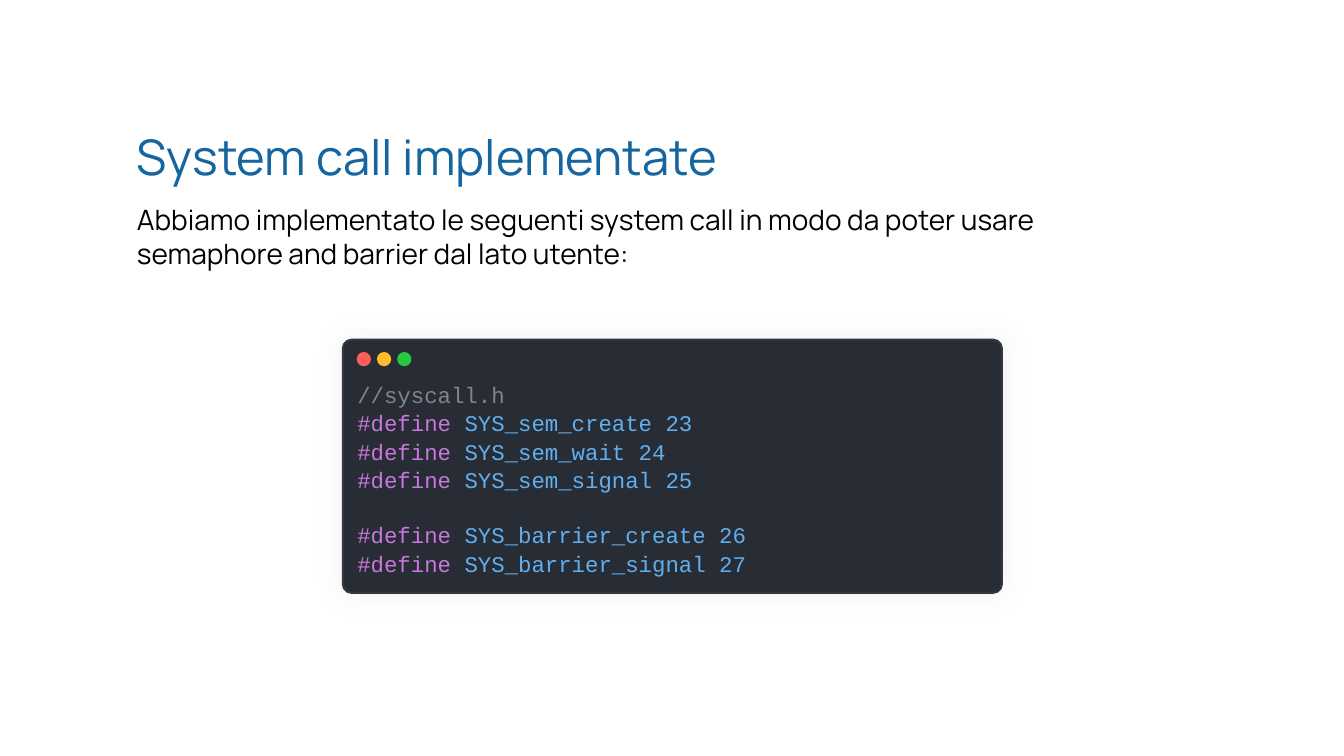
from lxml.etree import SubElement
from pptx import Presentation
from pptx.dml.color import RGBColor
from pptx.enum.shapes import MSO_SHAPE
from pptx.enum.text import MSO_ANCHOR, PP_ALIGN
from pptx.oxml.ns import qn
from pptx.util import Cm, Pt


def rgb(value):
    return RGBColor.from_string(value)


def add_run(p, text, size, font, color):
    r = p.add_run()
    r.text = text
    for name, value in {"size": Pt(size), "name": font}.items():
        setattr(r.font, name, value)
    r.font.color.rgb = rgb(color)


prs = Presentation()
prs.slide_width, prs.slide_height = Cm(33.87), Cm(19.05)
s = prs.slides.add_slide(prs.slide_layouts[6])

# Title and introduction
TEXTS = [
    ("System call implementate", 3.07, 17.27, 1.75, 35, "1566A0", False),
    ("Abbiamo implementato le seguenti system call in modo da poter usare "
     "semaphore and barrier dal lato utente:", 4.98, 26.39, 1.96, 20, "000000", True),
]
for text, top, width, height, size, color, wrap in TEXTS:
    tf = s.shapes.add_textbox(Cm(3.2), Cm(top), Cm(width), Cm(height)).text_frame
    tf.word_wrap = wrap
    add_run(tf.paragraphs[0], text, size, "Manrope", color)

# Code window
window = s.shapes.add_group_shape()
panel = window.shapes.add_shape(MSO_SHAPE.ROUNDED_RECTANGLE, Cm(8.64), Cm(8.56), Cm(16.61), Cm(6.38))
panel.adjustments[0] = 0.035
panel.fill.solid()
panel.fill.fore_color.rgb = rgb("282C34")
panel.line.color.rgb = rgb("323742")
panel.line.width = Pt(1.5)
panel.shadow.inherit = False
effects = panel.fill._xPr.find(qn("a:effectLst"))
glow = SubElement(effects, qn("a:outerShdw"), blurRad=str(Pt(20)), dist="0", dir="0", algn="ctr", rotWithShape="0")
glow_color = SubElement(glow, qn("a:srgbClr"), val="808080")
SubElement(glow_color, qn("a:alpha"), val="10000")

# Each line: coloured parts and the space above it in points
DEFINES = [
    ("SYS_sem_create 23", 0),
    ("SYS_sem_wait 24", 0),
    ("SYS_sem_signal 25", 0),
    ("SYS_barrier_create 26", 19),
    ("SYS_barrier_signal 27", 0),
]
code = [([("//syscall.h", "7F848E")], 0)]
code += [([("#define ", "C678DD"), (name, "61AFEF")], gap) for name, gap in DEFINES]

tf = panel.text_frame
frame_format = {
    "word_wrap": True, "vertical_anchor": MSO_ANCHOR.TOP,
    "margin_left": Cm(0.3), "margin_right": Cm(0.3),
    "margin_top": Cm(0.94), "margin_bottom": Cm(0.3),
}
for name, value in frame_format.items():
    setattr(tf, name, value)
for i, (parts, gap) in enumerate(code):
    p = tf.add_paragraph() if i else tf.paragraphs[0]
    p.alignment = PP_ALIGN.LEFT
    p.line_spacing = 1.06
    if gap:
        p.space_before = Pt(gap)
    for text, color in parts:
        add_run(p, text, 16, "Courier New", color)

# Window buttons
for i, color in enumerate(["FF5F56", "FFBD2E", "27C93F"]):
    sp = window.shapes.add_shape(MSO_SHAPE.OVAL, Cm(8.99 + 0.51 * i), Cm(8.87), Cm(0.36), Cm(0.36))
    sp.shadow.inherit = False
    sp.fill.solid()
    sp.fill.fore_color.rgb = rgb(color)
    sp.line.fill.background()

prs.save("out.pptx")
